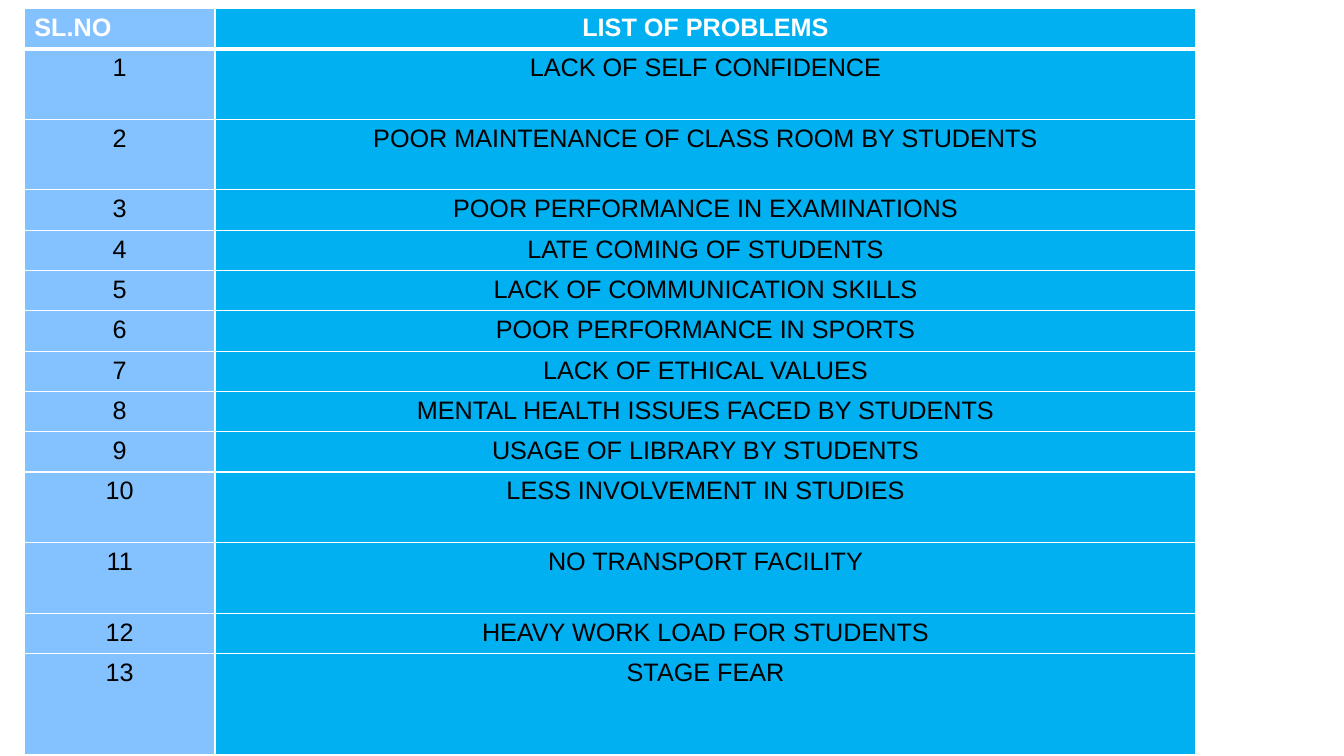
from dataclasses import dataclass

from lxml import etree
from pptx import Presentation
from pptx import util as u
from pptx.dml.color import RGBColor
from pptx.enum import text
from pptx.oxml import ns
from pptx.table import _Cell as Cell

PX = 7620  # EMU in one px, 120 px to the inch


@dataclass(frozen=True)
class Theme:
    font: str = "Arial"
    size: int = 18
    ink: str = "000000"
    white: str = "FFFFFF"
    fills: tuple[str, str] = ("83C1FF", "00B0F0")
    thin: int = 1
    thick: int = 3


@dataclass(frozen=True)
class Row:
    label: str
    high: int = 48


THEME = Theme()
LEFT, TOP = 29, 10
COLS = (227, 1168)
TALL = 84
HEAD = ("SL.NO", Row("LIST OF PROBLEMS"))
ROWS = (
    Row("LACK OF SELF CONFIDENCE", TALL),
    Row("POOR MAINTENANCE OF CLASS ROOM BY STUDENTS", TALL),
    Row("POOR PERFORMANCE IN EXAMINATIONS"),
    Row("LATE COMING OF STUDENTS"),
    Row("LACK OF COMMUNICATION SKILLS"),
    Row("POOR PERFORMANCE IN SPORTS"),
    Row("LACK OF ETHICAL VALUES"),
    Row("MENTAL HEALTH ISSUES FACED BY STUDENTS"),
    Row("USAGE OF LIBRARY BY STUDENTS"),
    Row("LESS INVOLVEMENT IN STUDIES", TALL),
    Row("NO TRANSPORT FACILITY", TALL),
    Row("HEAVY WORK LOAD FOR STUDENTS"),
    Row("STAGE FEAR", 120),
)


def px(size: int) -> u.Emu:
    return u.Emu(size * PX)


def edge(cell: Cell, widths: dict[str, int]) -> None:
    """Draw white borders; keys are the sides L, R, T and B in that order."""
    props = cell._tc.get_or_add_tcPr()
    for spot, (side, width) in enumerate(widths.items()):
        line = etree.Element(ns.qn(f"a:ln{side}"), w=str(u.Pt(width)))
        fill = etree.SubElement(line, ns.qn("a:solidFill"))
        etree.SubElement(fill, ns.qn("a:srgbClr"), val=THEME.white)
        props.insert(spot, line)


def write(cell: Cell, label: str, fill: str, head: bool, mid: bool) -> None:
    cell.fill.solid()
    cell.fill.fore_color.rgb = RGBColor.from_string(fill)
    cell.text_frame.text = label
    para = cell.text_frame.paragraphs[0]
    para.alignment = text.PP_ALIGN.CENTER if mid else text.PP_ALIGN.LEFT
    font = para.runs[0].font
    font.name, font.size, font.bold = THEME.font, u.Pt(THEME.size), head
    font.color.rgb = RGBColor.from_string(THEME.white if head else THEME.ink)


def main() -> None:
    deck = Presentation()
    deck.slide_width, deck.slide_height = px(1600), px(900)
    slide = deck.slides.add_slide(deck.slide_layouts[6])
    lines = [HEAD] + [(str(num), row) for num, row in enumerate(ROWS, 1)]
    high = sum(row.high for _, row in lines)
    grid = slide.shapes.add_table(
        len(lines), len(COLS), px(LEFT), px(TOP), px(sum(COLS)), px(high)
    ).table
    grid.horz_banding = False
    for col, wide in zip(grid.columns, COLS):
        col.width = px(wide)

    for y, (num, row) in enumerate(lines):
        grid.rows[y].height = px(row.high)
        head = y == 0
        top = THEME.thick if y == 1 else THEME.thin
        base = THEME.thick if head else THEME.thin
        for x, label in enumerate((num, row.label)):
            cell = grid.cell(y, x)
            write(cell, label, THEME.fills[x], head, mid=not head or x > 0)
            edge(cell, {"L": THEME.thin, "R": THEME.thin, "T": top, "B": base})

    deck.save("out.pptx")


if __name__ == "__main__":
    main()
